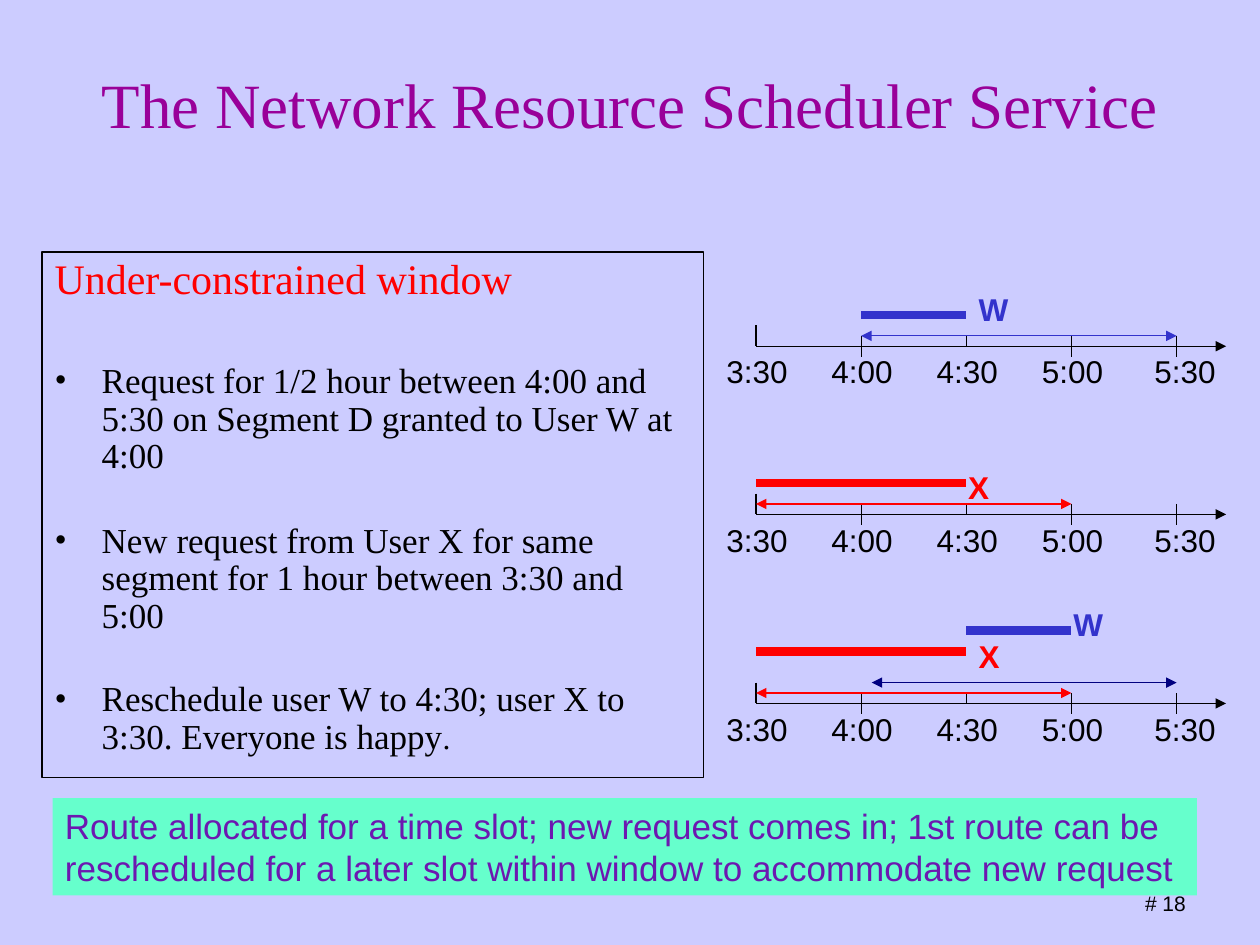
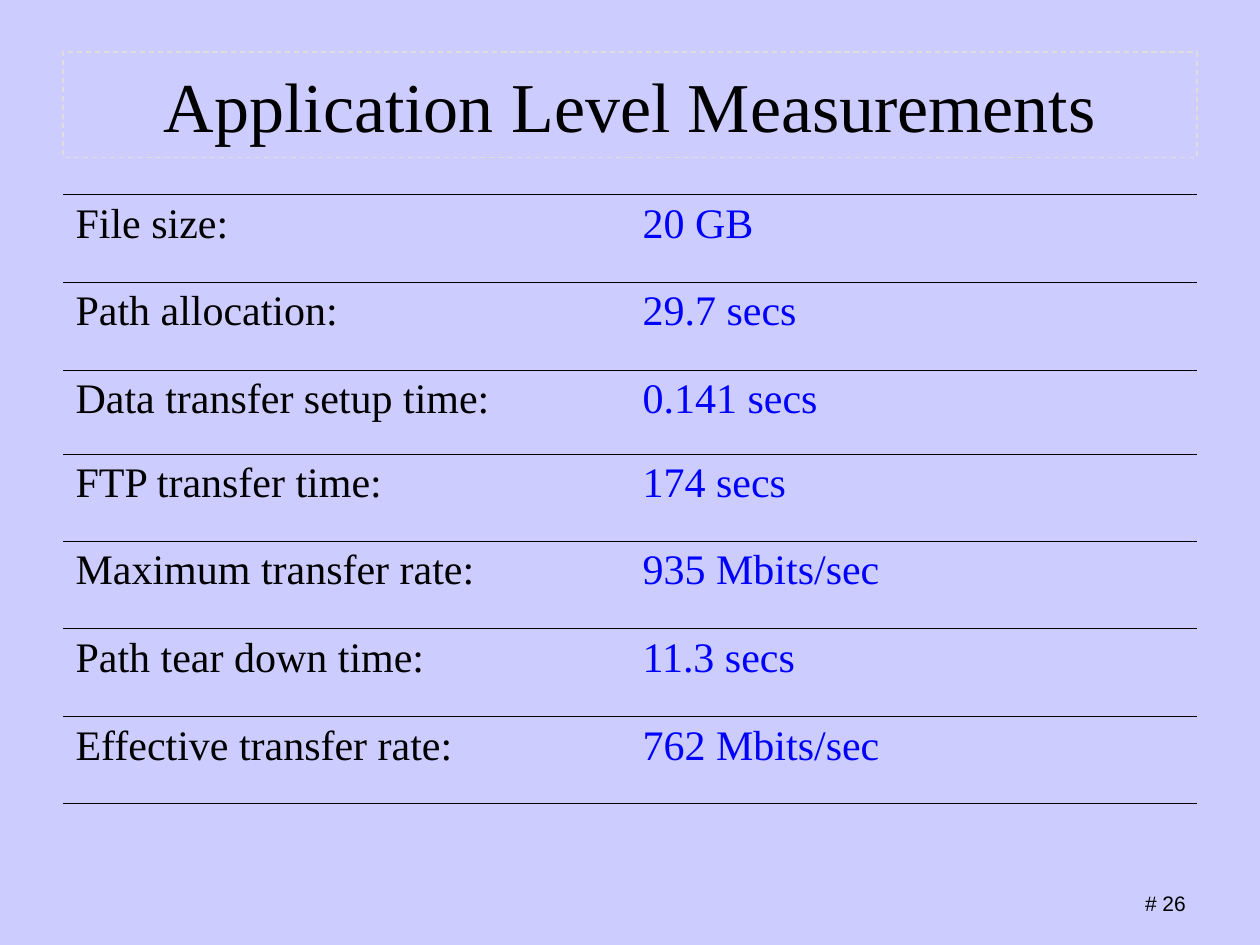
import pptx
import pptx.util
import pptx.dml.color
import pptx.enum.dml
import pptx.enum.shapes
import pptx.enum.text
import pptx.oxml
import pptx.oxml.ns

Cm = pptx.util.Cm
Pt = pptx.util.Pt
Align = pptx.enum.text.PP_ALIGN
Anchor = pptx.enum.text.MSO_ANCHOR
AutoSize = pptx.enum.text.MSO_AUTO_SIZE

COLORS = {
    "background": "CCCCFF",
    "ink": "000000",
    "title": "990099",
    "frame": "DDDDDD",
    "band": "66FFCC",
    "band text": "6C18B0",
    "user W": "3333CC",
    "user W moved": "000080",
    "user X": "FF0000",
    "value": "0000FF",
}
SERIF = "Times New Roman"
SANS = "Arial"

SLOT = 2.12     # width of half an hour on a timeline, cm
STEP = 0.21     # vertical step above and below a timeline, cm
TIMES = ["3:30", "4:00", "4:30", "5:00", "5:30"]
TICKS = [(-2, 0), (-1, 1), (-1, 0), (-1, 1), (-1, 1)]   # top and bottom in steps


def rgb(name):
    return pptx.dml.color.RGBColor.from_string(COLORS[name])


def add_xml(parent, tag, **attributes):
    element = pptx.oxml.parse_xml(f"<a:{tag} {pptx.oxml.ns.nsdecls('a')}/>")
    for key, value in attributes.items():
        element.set(key, str(value))
    parent.append(element)
    return element


def add_span(para, text, size, color, font=SERIF, bold=False):
    span = para.add_run()
    span.text = text
    span.font.size = Pt(size)
    span.font.name = font
    span.font.bold = bold
    span.font.color.rgb = rgb(color)


def add_box(page, box):
    shape = page.shapes.add_textbox(*map(Cm, box))
    shape.text_frame.word_wrap = True
    return shape


def add_label(page, box, text, size, color, bold=False, align=Align.LEFT):
    shape = add_box(page, box)
    para = shape.text_frame.paragraphs[0]
    para.alignment = align
    add_span(para, text, size, color, SANS, bold)
    return shape


def add_line(page, start, end, color, width=0.75, head=False, tail=False):
    line = page.shapes.add_connector(
        pptx.enum.shapes.MSO_CONNECTOR.STRAIGHT, *map(Cm, (*start, *end)))
    line.line.color.rgb = rgb(color)
    line.line.width = Pt(width)
    outline = line.line._get_or_add_ln()
    if head:
        add_xml(outline, "headEnd", type="triangle")
    if tail:
        add_xml(outline, "tailEnd", type="triangle")
    add_xml(line._element.spPr, "effectLst")


def add_page(deck, title, box, size, color, number):
    """Title and page number, which every slide has."""
    page = deck.slides.add_slide(deck.slide_layouts[5])
    holder = page.shapes.title
    holder.left, holder.top, holder.width, holder.height = map(Cm, box)
    frame = holder.text_frame
    frame.auto_size = AutoSize.NONE
    frame.vertical_anchor = Anchor.MIDDLE
    para = frame.paragraphs[0]
    para.alignment = Align.CENTER
    add_span(para, title, size, color)
    add_label(page, (21.59, 17.83, 3.81, 0.76), f"# {number}", 12, "ink",
              align=Align.CENTER)
    return page


def add_request_panel(page, box, heading, requests):
    """Outlined panel: a heading and a list of (space before, spans)."""
    panel = add_box(page, box)
    panel.line.color.rgb = rgb("ink")
    panel.line.width = Pt(0.75)
    frame = panel.text_frame
    para = frame.paragraphs[0]
    para.line_spacing = 0.9
    add_span(para, heading, 24, "user X")
    for space, spans in requests:
        para = frame.add_paragraph()
        para.line_spacing = 0.9
        para.space_before = Pt(space)
        properties = para._p.get_or_add_pPr()
        properties.set("marL", str(Cm(0.95)))
        properties.set("indent", str(-Cm(0.95)))
        add_xml(add_xml(properties, "buClr"), "srgbClr", val=COLORS["ink"])
        add_xml(properties, "buFont", typeface=SERIF)
        add_xml(properties, "buChar", char="•")
        for text, size in spans:
            add_span(para, text, size, "ink")


def add_timeline(page, left, axis, bars, windows, names):
    """Time axis; places are in half-hour slots across and steps up."""
    def at(slot, level):
        return left + slot * SLOT, axis - level * STEP

    # Axis, ticks and hours
    add_line(page, at(0, 0), at(4.47, 0), "ink", tail=True)
    for slot, (time, (top, bottom)) in enumerate(zip(TIMES, TICKS)):
        add_line(page, at(slot, -top), at(slot, -bottom), "ink")
        shift = 0.33 if slot == len(TIMES) - 1 else 0.4
        add_label(page, (*at(slot - shift, 0), 1.8, 1.02), time, 18, "ink")

    # Granted slots, request windows and user names
    for start, end, level, color in bars:
        add_line(page, at(start, level), at(end, level), color, width=5)
    for start, end, level, color in windows:
        add_line(page, at(start, level), at(end, level), color, head=True, tail=True)
    for name, slot, level in names:
        add_label(page, (*at(slot, level), 1.2, 1.02), name, 18, f"user {name}", bold=True)


def add_band(page, box, text):
    band = add_label(page, box, text, 20, "band text")
    band.fill.solid()
    band.fill.fore_color.rgb = rgb("band")


def rule_cell(cell):
    """Thin rules above and below the cell, none at its sides."""
    properties = cell._tc.get_or_add_tcPr()
    for side in ("lnL", "lnR"):
        add_xml(add_xml(properties, side, w=0), "noFill")
    for side in ("lnT", "lnB"):
        rule = add_xml(properties, side, w=Pt(0.45))
        add_xml(add_xml(rule, "solidFill"), "srgbClr", val=COLORS["ink"])
    cell.fill.background()


def add_measurements(page, box, rows, heights):
    table = page.shapes.add_table(len(rows), 2, *map(Cm, box)).table
    table.first_row = False
    table.horz_banding = False
    for row, height, texts in zip(table.rows, heights, rows):
        row.height = Cm(height)
        for cell, text, color in zip(row.cells, texts, ("ink", "value")):
            rule_cell(cell)
            add_span(cell.text_frame.paragraphs[0], text, 24, color)


def build_scheduler(deck):
    page = add_page(deck, "The Network Resource Scheduler Service",
                    (1.27, 1.05, 22.86, 2.08), 36, "title", 18)
    add_request_panel(page, (0.85, 5.08, 13.34, 10.59), "Under-constrained window", [
        (34, [("Request for 1/2 hour between 4:00 and 5:30 on Segment D "
               "granted to User W at 4:00", 20)]),
        (26.5, [("New request from User X for same segment for 1 hour "
                 "between 3:30 and 5:00", 20)]),
        (26, [("Reschedule user W to 4:30; user X to 3:30. Everyone is happy", 20),
              (".", 18)]),
    ])
    add_band(page, (1.06, 16.09, 23.07, 1.96),
             "Route allocated for a time slot; new request comes in; 1st route can be "
             "rescheduled for a later slot within window to accommodate new request")

    # First request, second request, and both after rescheduling
    left = 15.24
    add_timeline(page, left, 6.98, [(1, 2, 3, "user W")],
                 [(1, 4, 1, "user W")], [("W", 2, 6)])
    add_timeline(page, left, 10.37, [(0, 2, 3, "user X")],
                 [(0, 3, 1, "user X")], [("X", 1.9, 5)])
    add_timeline(page, left, 14.18, [(0, 2, 5, "user X"), (2, 3, 7, "user W")],
                 [(0, 3, 1, "user X"), (1.1, 4, 2, "user W moved")],
                 [("W", 2.9, 10), ("X", 2, 7)])


def build_measurements(deck):
    page = add_page(deck, "Application Level Measurements",
                    (1.27, 1.05, 22.86, 2.12), 40, "ink", 26)
    outline = page.shapes.title.line
    outline.color.rgb = rgb("frame")
    outline.width = Pt(0.75)
    outline.dash_style = pptx.enum.dml.MSO_LINE.DASH
    add_measurements(page, (1.27, 3.92, 22.86, 12.27), [
        ("File size:", "20 GB"),
        ("Path allocation:", "29.7 secs"),
        ("Data transfer setup time:", "0.141 secs"),
        ("FTP transfer time:", "174 secs"),
        ("Maximum transfer rate:", "935 Mbits/sec"),
        ("Path tear down time:", "11.3 secs"),
        ("Effective transfer rate:", "762 Mbits/sec"),
    ], [1.77, 1.77, 1.69, 1.76, 1.76, 1.77, 1.76])


def main():
    deck = pptx.Presentation()
    deck.slide_width, deck.slide_height = Cm(25.4), Cm(19.05)
    backdrop = deck.slide_master.background.fill
    backdrop.solid()
    backdrop.fore_color.rgb = rgb("background")
    build_scheduler(deck)
    build_measurements(deck)
    deck.save("out.pptx")


if __name__ == "__main__":
    main()
